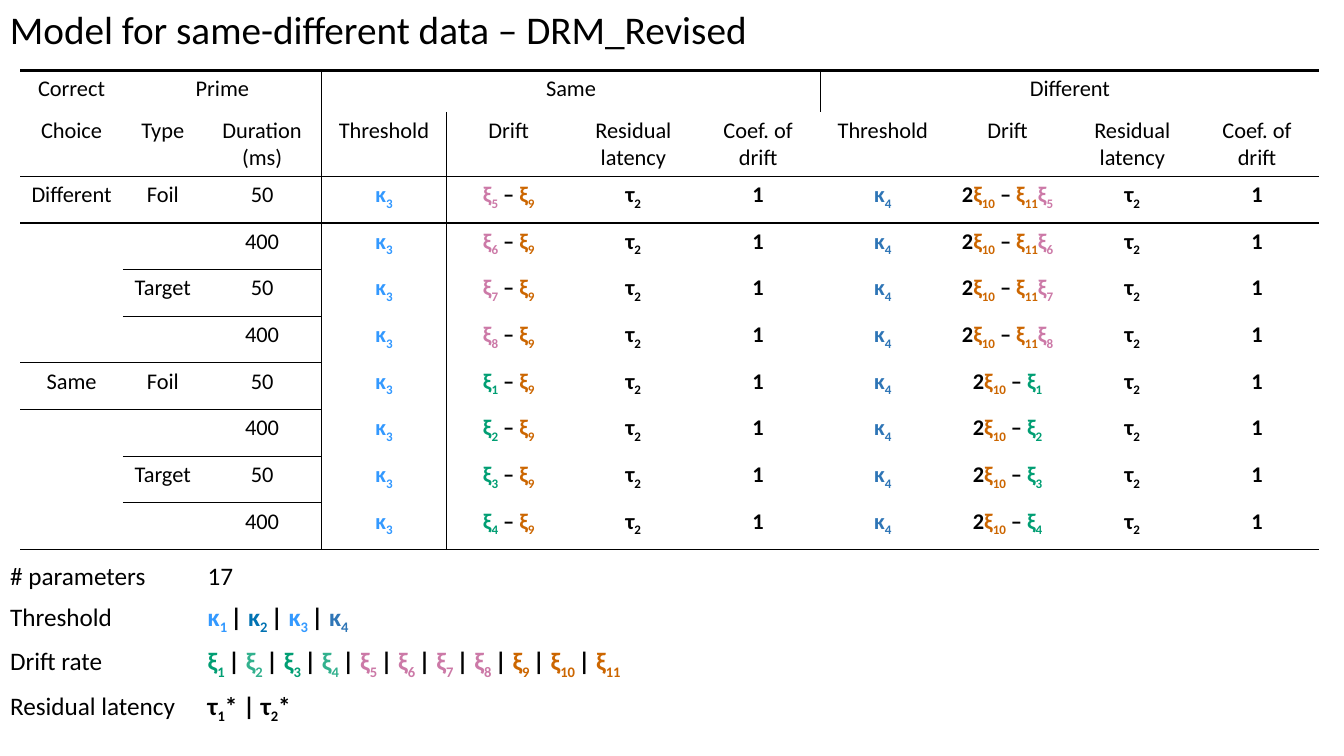
import pptx
import pptx.dml.color
import pptx.enum.text
import pptx.util
from lxml import etree
from pptx.oxml.ns import qn

COLORS = {
    "black": "000000", "white": "FFFFFF",
    "sky": "3399FF", "blue": "0072B2", "steel": "2E75B6",
    "green": "009E73", "mint": "32B18E", "pink": "CC79A7", "orange": "CC6600",
}
KAPPA_COLORS = {1: "sky", 2: "blue", 3: "sky", 4: "steel"}
PLAIN_STYLE = "{2D5ABB26-0587-4C30-8999-92F81FD0307C}"  # no fills, no grid


class Deck:
    """Holds the style and the current slide; lengths are percent of the slide."""
    font = "Calibri"

    def __init__(self):
        self.file = pptx.Presentation()
        self.file.slide_width = pptx.util.Inches(13.33)
        self.file.slide_height = pptx.util.Inches(7.5)
        self.slide = self.file.slides.add_slide(self.file.slide_layouts[6])

    def x(self, share):
        return round(self.file.slide_width * share / 100)

    def y(self, share):
        return round(self.file.slide_height * share / 100)

    def set_text(self, frame, content, size, align=None):
        """Content is a plain string, or a list of (text, color, subscript) runs."""
        rich = not isinstance(content, str)
        lines = [content] if rich else content.split("\n")
        for number, line in enumerate(lines):
            paragraph = frame.add_paragraph() if number else frame.paragraphs[0]
            paragraph.alignment = align
            paragraph.font.name = self.font
            paragraph.font.size = pptx.util.Pt(size)
            paragraph.font.bold = rich
            if not rich:
                paragraph.font.color.rgb = self.rgb("black")
            for text, color, subscript in line if rich else [(line, None, False)]:
                run = paragraph.add_run()
                run.text = text
                if color:
                    run.font.color.rgb = self.rgb(color)
                if subscript:
                    run._r.get_or_add_rPr().set("baseline", "-25000")

    def rgb(self, color):
        return pptx.dml.color.RGBColor.from_string(COLORS[color])

    def title(self, text, left, top, width, height):
        box = self.slide.shapes.add_textbox(
            self.x(left), self.y(top), self.x(width), self.y(height))
        box.text_frame.word_wrap = False
        box.text_frame.auto_size = pptx.enum.text.MSO_AUTO_SIZE.SHAPE_TO_FIT_TEXT
        self.set_text(box.text_frame, text, 28)

    def table(self, content, left, top, columns, rows, size, align=None, fill=None):
        frame = self.slide.shapes.add_table(
            len(rows), len(columns), self.x(left), self.y(top),
            self.x(sum(columns)), self.y(sum(rows)))
        table = frame.table
        table.first_row = table.horz_banding = False
        next(frame._element.iter(qn("a:tableStyleId"))).text = PLAIN_STYLE
        for column, share in zip(table.columns, columns):
            column.width = self.x(share)
        for row, share in zip(table.rows, rows):
            row.height = self.y(share)
        for r, line in enumerate(content):
            for c, entry in enumerate(line):
                cell = table.cell(r, c)
                if fill:
                    cell.fill.solid()
                    cell.fill.fore_color.rgb = self.rgb(fill)
                else:
                    cell.fill.background()
                if entry:
                    self.set_text(cell.text_frame, entry, size, align)
        return table

    def borders(self, cell, widths):
        """Widths maps L, R, T, B, in that order, to points."""
        properties = cell._tc.get_or_add_tcPr()
        for position, (side, points) in enumerate(widths.items()):
            line = etree.Element(qn(f"a:ln{side}"), w=str(int(pptx.util.Pt(points))))
            paint = etree.SubElement(line, qn("a:solidFill"))
            etree.SubElement(paint, qn("a:srgbClr"), val=COLORS["black"])
            properties.insert(position, line)


def symbol(letter, number, color, gap=""):
    return [(letter, color, False), (f"{number}{gap}", color, True)]


def xi(number):
    color = "green" if number < 5 else "pink" if number < 9 else "orange"
    return symbol("ξ", number, color)


def plain(text):
    return [(text, "black", False)]


def listing(letter, colors):
    runs = []
    for number, color in colors.items():
        last = number == len(colors)
        runs += symbol(letter, number, color, "" if last else " ")
        runs += [] if last else plain("| ")
    return runs


def condition(number):
    """Model terms for one row, numbered by its drift parameter."""
    tail = xi(11) + xi(number) if number > 4 else xi(number)
    shared = [symbol("τ", 2, "black"), plain("1")]
    same = [symbol("κ", 3, "sky"), xi(number) + plain(" – ") + xi(9)]
    different = [symbol("κ", 4, "steel"), plain("2") + xi(10) + plain(" – ") + tail]
    return same + shared + different + shared


def model_table(deck):
    measures = ["Threshold", "Drift", "Residual latency", "Coef. of\ndrift"]
    content = [
        ["Correct", "Prime", "", "Same", "", "", "", "Different", "", "", ""],
        ["Choice", "Type", "Duration (ms)"] + measures * 2,
    ]
    for choice, first in (("Different", 5), ("Same", 1)):
        for step in range(4):
            content.append([
                "" if step else choice,
                ("Foil", "", "Target", "")[step],
                ("50", "400")[step % 2],
            ] + condition(first + step))
    table = deck.table(
        content, 1.5, 9.33, [7.65, 5.93, 8.85] + [9.28] * 8,
        [5.47, 8.53] + [6.17] * 8, 16, pptx.enum.text.PP_ALIGN.CENTER)

    # Horizontal rules: row edge -> columns crossed
    everything = range(11)
    rules = {0: everything, 2: everything, 4: (1, 2), 6: (0, 1, 2), 8: (1, 2),
             10: everything, **{edge: (2,) for edge in (3, 5, 7, 9)}}
    for r in range(10):
        for c in everything:
            widths = {}
            if c == 3:
                widths["L"] = 1
            if c == 2 or (r, c) == (0, 1):
                widths["R"] = 1
            if c in rules.get(r, ()):
                widths["T"] = 1 if r else 2.25
            if c in rules.get(r + 1, ()):
                widths["B"] = 1
            deck.borders(table.cell(r, c), widths)

    # Group headings
    for first, last in ((1, 2), (3, 6), (7, 10)):
        table.cell(0, first).merge(table.cell(0, last))


def parameter_table(deck):
    drift_colors = {n: ("mint", "green")[n % 2] if n < 5 else
                    "pink" if n < 9 else "orange" for n in range(1, 12)}
    latency = (symbol("τ", 1, "black") + plain("* | ")
               + symbol("τ", 2, "black") + plain("*"))
    content = [
        ["# parameters", "17"],
        ["Threshold", listing("κ", KAPPA_COLORS)],
        ["Drift rate", listing("ξ", drift_colors)],
        ["Residual latency", latency],
        ["", ""],
    ]
    deck.table(content, 0, 73.6, [14.7, 84.47], [5.4] + [5.87] * 3 + [3.6],
               18, fill="white")


def main():
    deck = Deck()
    deck.title("Model for same-different data – DRM_Revised", 0, 0, 57, 7.6)
    model_table(deck)
    parameter_table(deck)
    deck.file.save("out.pptx")


if __name__ == "__main__":
    main()
